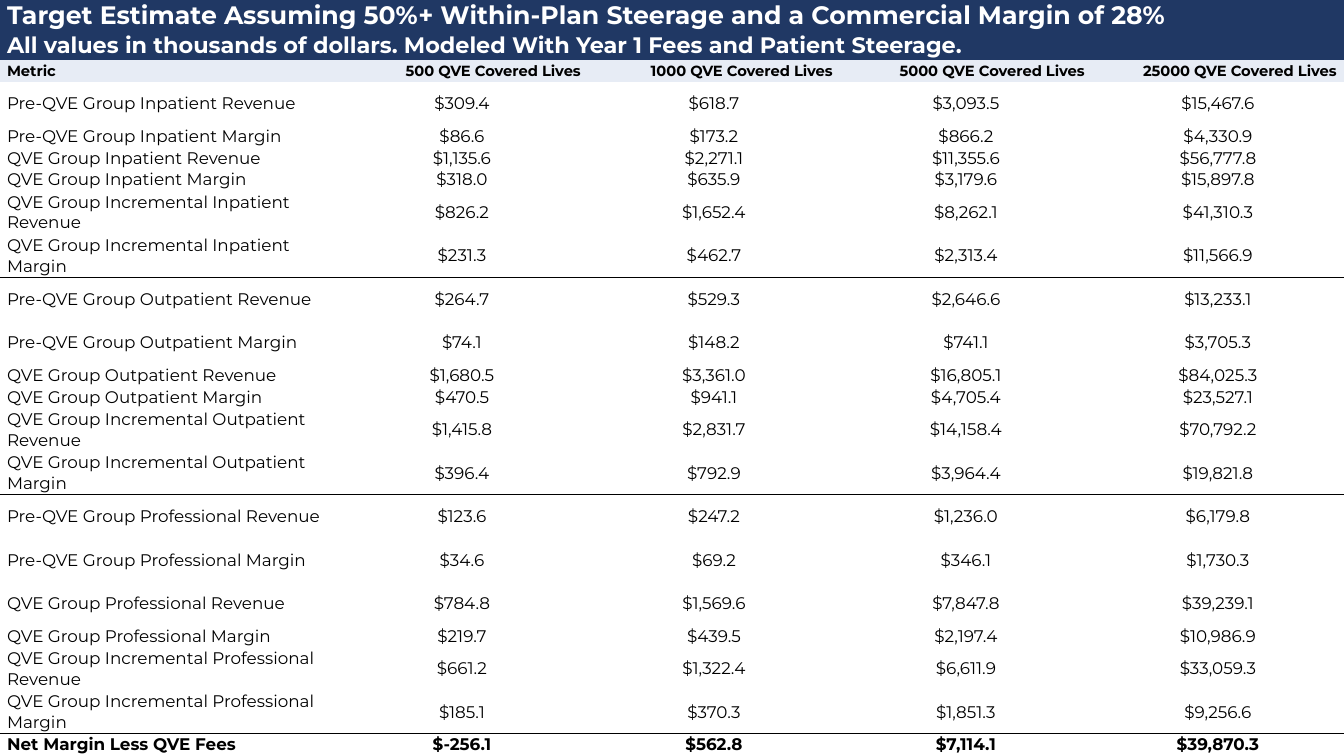
import pptx
import pptx.util
import pptx.dml.color
import pptx.enum.text
import pptx.oxml.ns
import lxml.etree

WIDE, HIGH = 13.33, 7.5
FONT = "Montserrat"
HUES = {"navy": "203864", "pale": "E7ECF5", "white": "FFFFFF", "black": "000000"}
PLAIN = "{2D5ABB26-0587-4C30-8999-92F81FD0307C}"
INDENT = 0.07
ALIGN = pptx.enum.text.PP_ALIGN

TITLES = [
    ("Target Estimate Assuming 50%+ Within-Plan Steerage and a Commercial Margin of 28%", 18, 0.31),
    ("All values in thousands of dollars. Modeled With Year 1 Fees and Patient Steerage.", 16, 0.29),
]
LIVES = [500, 1000, 5000, 25000]
PLAN = "QVE"
STAGES = [f"Pre-{PLAN} Group", f"{PLAN} Group", f"{PLAN} Group Incremental"]

# Each group: row heights in lines, then one row of values per metric
GROUPS = {
    "Inpatient": ([2, 1, 1, 1, 2, 2], [
        ["$309.4", "$618.7", "$3,093.5", "$15,467.6"],
        ["$86.6", "$173.2", "$866.2", "$4,330.9"],
        ["$1,135.6", "$2,271.1", "$11,355.6", "$56,777.8"],
        ["$318.0", "$635.9", "$3,179.6", "$15,897.8"],
        ["$826.2", "$1,652.4", "$8,262.1", "$41,310.3"],
        ["$231.3", "$462.7", "$2,313.4", "$11,566.9"]]),
    "Outpatient": ([2, 2, 1, 1, 2, 2], [
        ["$264.7", "$529.3", "$2,646.6", "$13,233.1"],
        ["$74.1", "$148.2", "$741.1", "$3,705.3"],
        ["$1,680.5", "$3,361.0", "$16,805.1", "$84,025.3"],
        ["$470.5", "$941.1", "$4,705.4", "$23,527.1"],
        ["$1,415.8", "$2,831.7", "$14,158.4", "$70,792.2"],
        ["$396.4", "$792.9", "$3,964.4", "$19,821.8"]]),
    "Professional": ([2, 2, 2, 1, 2, 2], [
        ["$123.6", "$247.2", "$1,236.0", "$6,179.8"],
        ["$34.6", "$69.2", "$346.1", "$1,730.3"],
        ["$784.8", "$1,569.6", "$7,847.8", "$39,239.1"],
        ["$219.7", "$439.5", "$2,197.4", "$10,986.9"],
        ["$661.2", "$1,322.4", "$6,611.9", "$33,059.3"],
        ["$185.1", "$370.3", "$1,851.3", "$9,256.6"]]),
}
NET = [f"Net Margin Less {PLAN} Fees", "$-256.1", "$562.8", "$7,114.1", "$39,870.3"]


def write(cell, text, size=12, bold=False, hue="black", align=ALIGN.LEFT):
    cell.vertical_anchor = pptx.enum.text.MSO_ANCHOR.MIDDLE
    cell.margin_left = cell.margin_right = cell.margin_top = cell.margin_bottom = 0
    para = cell.text_frame.paragraphs[0]
    para.alignment = align
    for side in ("marL", "marR"):
        para._p.get_or_add_pPr().set(side, str(pptx.util.Inches(INDENT)))
    run = para.add_run()
    run.text = text
    run.font.name = FONT
    run.font.size = pptx.util.Pt(size)
    run.font.bold = bold
    run.font.color.rgb = pptx.dml.color.RGBColor.from_string(HUES[hue])


def paint(cell, hue=None):
    if hue:
        cell.fill.solid()
        cell.fill.fore_color.rgb = pptx.dml.color.RGBColor.from_string(HUES[hue])
    else:
        cell.fill.background()


def rule(cell):
    """Draw a thin black line below; call it before the cell is painted."""
    name = pptx.oxml.ns.qn
    line = lxml.etree.SubElement(cell._tc.get_or_add_tcPr(), name("a:lnB"),
                                 w=str(pptx.util.Pt(1)))
    fill = lxml.etree.SubElement(line, name("a:solidFill"))
    lxml.etree.SubElement(fill, name("a:srgbClr"), val=HUES["black"])


def fill_row(table, row, texts, hue=None, ruled=False, align=ALIGN.CENTER, **style):
    """Write one row: a label on the left, then its values."""
    for col, text in enumerate(texts):
        cell = table.cell(row, col)
        if ruled:
            rule(cell)
        paint(cell, hue)
        write(cell, text, align=align if col else ALIGN.LEFT, **style)


def draw_table(slide, left, top, width, height):
    lines = [1] + [n for spans, _ in GROUPS.values() for n in spans] + [1]
    unit = (height - sum(high for _, _, high in TITLES)) / sum(lines)
    heights = [high for _, _, high in TITLES] + [n * unit for n in lines]
    shares = [0.25] + [0.75 / len(LIVES)] * len(LIVES)
    inch = pptx.util.Inches
    frame = slide.shapes.add_table(len(heights), len(shares), inch(left), inch(top),
                                   inch(width), inch(height))
    table = frame.table
    table.first_row = table.horz_banding = False
    table._tbl.tblPr.find(pptx.oxml.ns.qn("a:tableStyleId")).text = PLAIN
    for col, share in zip(table.columns, shares):
        col.width = inch(width * share)
    for row, high in zip(table.rows, heights):
        row.height = inch(high)

    for row, (text, size, _) in enumerate(TITLES):
        cell = table.cell(row, 0)
        cell.merge(table.cell(row, len(LIVES)))
        paint(cell, "navy")
        write(cell, text, size=size, bold=True, hue="white")
    row = len(TITLES)
    heads = ["Metric"] + [f"{count} {PLAN} Covered Lives" for count in LIVES]
    fill_row(table, row, heads, "pale", align=ALIGN.RIGHT, size=10.5, bold=True)

    for group, (_, values) in GROUPS.items():
        labels = [f"{stage} {group} {kind}" for stage in STAGES
                  for kind in ("Revenue", "Margin")]
        for label, cells in zip(labels, values):
            row += 1
            fill_row(table, row, [label] + cells, ruled=label == labels[-1])
    fill_row(table, row + 1, NET, bold=True)


def main():
    deck = pptx.Presentation()
    deck.slide_width = pptx.util.Inches(WIDE)
    deck.slide_height = pptx.util.Inches(HIGH)
    slide = deck.slides.add_slide(deck.slide_layouts[6])
    draw_table(slide, 0, 0, WIDE, HIGH)
    deck.save("out.pptx")


if __name__ == "__main__":
    main()
